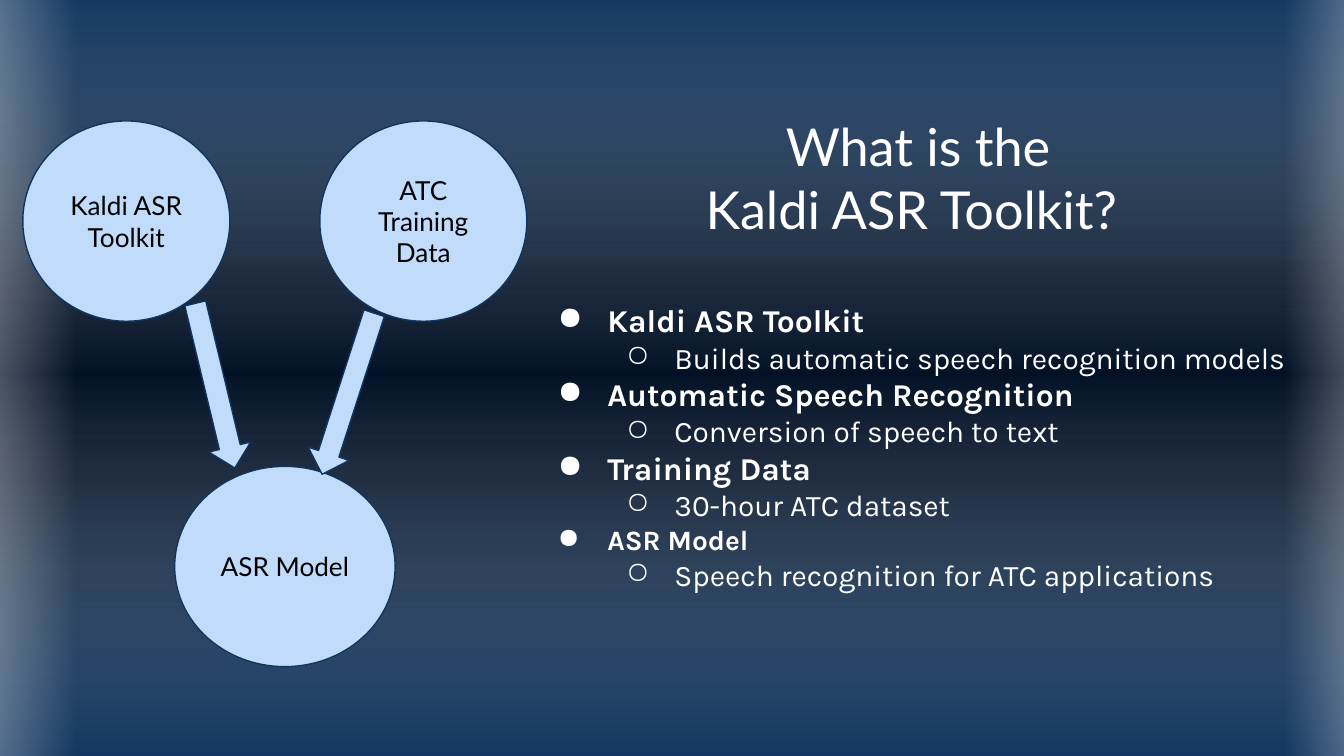
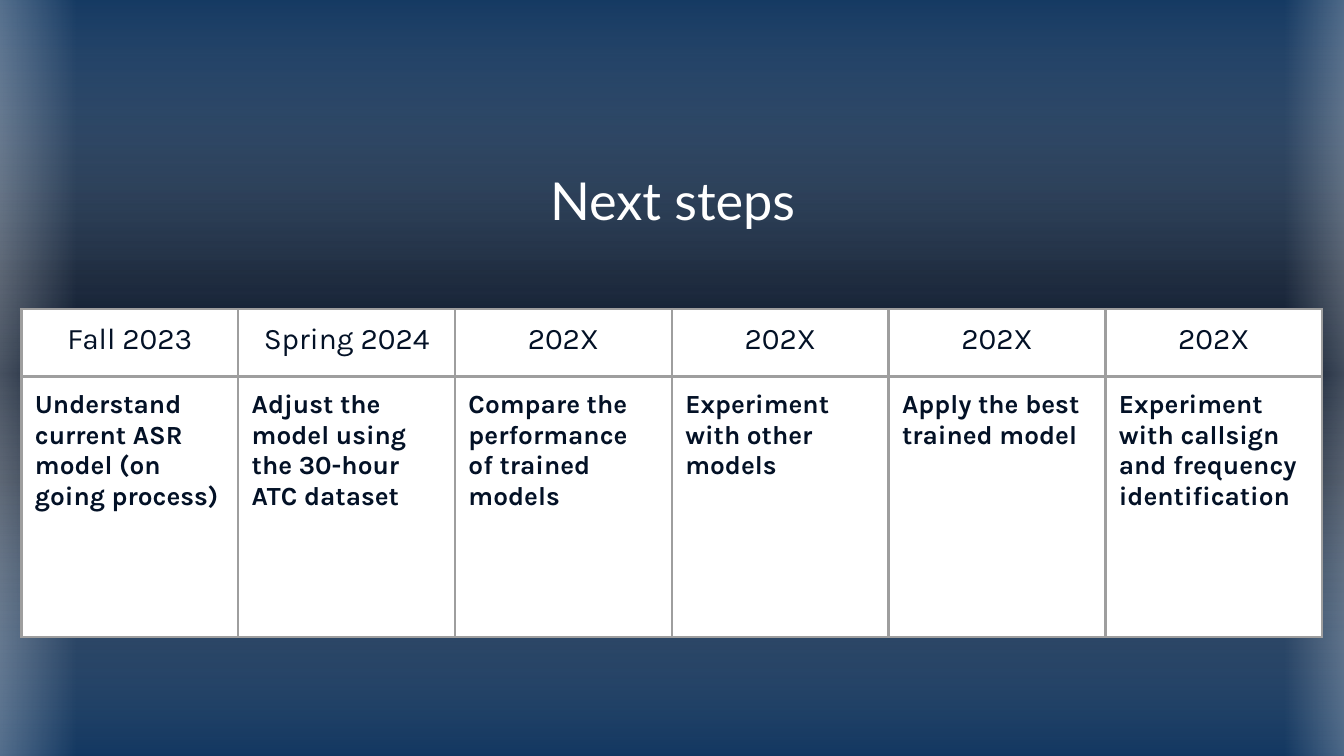
from lxml.etree import SubElement
from pptx import Presentation
from pptx.dml.color import RGBColor
from pptx.enum.shapes import MSO_SHAPE
from pptx.enum.text import MSO_ANCHOR, PP_ALIGN
from pptx.oxml import parse_xml
from pptx.oxml.ns import nsdecls, qn
from pptx.util import Inches, Pt

COLORS = {
    "navy": "10355F",
    "midnight": "031126",
    "white": "FFFFFF",
    "sky": "C1DBFA",
    "black": "000000",
    "grey": "9E9E9E",
}
TITLE_FONT, BODY_FONT = "Lato", "Karla"

PAGE_STOPS = [(0, "navy", 100), (37, "midnight", 100), (63, "midnight", 100), (100, "navy", 100)]
VEIL_STOPS = [(0, "navy", 59), (50, "white", 0), (100, "navy", 59)]
GLOW_STOPS = [(0, "white", 47), (100, "white", 0)]
BACKDROP = [
    ((2.2, -2.33, 5.81, 10.21), 270, VEIL_STOPS),
    ((-0.41, -0.09, 0.98, 5.8), 180, GLOW_STOPS),
    ((9.56, -0.13, 0.85, 5.8), 0, GLOW_STOPS),
]

TOPICS = [
    ("Kaldi ASR Toolkit", 17, "Builds automatic speech recognition models"),
    ("Automatic Speech Recognition", 17, "Conversion of speech to text"),
    ("Training Data", 17, "30-hour ATC dataset"),
    ("ASR Model", 15, "Speech recognition for ATC applications"),
]
CIRCLES = [
    ("Kaldi ASR Toolkit", (0.17, 0.9, 1.54, 1.49)),
    ("ASR Model", (1.3, 3.47, 1.64, 1.49)),
    ("ATC Training Data", (2.38, 0.9, 1.54, 1.49)),
]
ARROWS = [((0.97, 2.71, 1.26, 0.32), 76.5), ((1.96, 2.77, 1.26, 0.32), 107.9)]
STEPS = [
    ("Fall 2023", "Understand current ASR model (on going process)"),
    ("Spring 2024", "Adjust the model using the 30-hour ATC dataset"),
    ("202X", "Compare the performance of trained models"),
    ("202X", "Experiment with other models"),
    ("202X", "Apply the best trained model"),
    ("202X", "Experiment with callsign and frequency identification"),
]


def rgb(name):
    """Return the named colour."""
    return RGBColor.from_string(COLORS[name])


def inches(frame):
    """Turn left, top, width and height into lengths."""
    return [Inches(value) for value in frame]


def paint_gradient(item, fill, stops, angle):
    """Give a page or shape a linear gradient of (position, colour, opacity) stops."""
    fill.solid()
    solid = item._element.xpath(".//a:solidFill")[0]
    marks = "".join(
        f'<a:gs pos="{position * 1000}"><a:srgbClr val="{COLORS[color]}">'
        f'<a:alpha val="{opacity * 1000}"/></a:srgbClr></a:gs>'
        for position, color, opacity in stops
    )
    gradient = parse_xml(
        f'<a:gradFill {nsdecls("a")} rotWithShape="1"><a:gsLst>{marks}</a:gsLst>'
        f'<a:lin ang="{angle * 60000}" scaled="0"/></a:gradFill>'
    )
    solid.getparent().replace(solid, gradient)


def add_page(deck):
    """Add a blank page with the shared backdrop."""
    page = deck.slides.add_slide(deck.slide_layouts[6])
    paint_gradient(page, page.background.fill, PAGE_STOPS, 90)
    for frame, rotation, stops in BACKDROP:
        band = page.shapes.add_shape(MSO_SHAPE.RECTANGLE, *inches(frame))
        band.rotation = rotation
        band.shadow.inherit = False
        paint_gradient(band, band.fill, stops, 180)
        band.line.fill.background()
    return page


def add_span(para, text, font, size, color, bold=False):
    """Add one styled run to a paragraph."""
    span = para.add_run()
    span.text = text
    span.font.name = font
    span.font.size = Pt(size)
    span.font.bold = bold
    span.font.color.rgb = rgb(color)


def set_margins(holder):
    """Set the shared inner margin of a text frame or table cell."""
    holder.margin_left = holder.margin_right = Inches(0.1)
    holder.margin_top = holder.margin_bottom = Inches(0.1)


def add_box(page, frame, anchor):
    """Add a wrapping text box and return its text frame."""
    text_frame = page.shapes.add_textbox(*inches(frame)).text_frame
    text_frame.word_wrap = True
    text_frame.vertical_anchor = anchor
    set_margins(text_frame)
    return text_frame


def next_para(text_frame, index):
    """Return the first paragraph, or a new one after it."""
    return text_frame.add_paragraph() if index else text_frame.paragraphs[0]


def add_title(page, lines, frame):
    """Add a centred title with one paragraph per line."""
    text_frame = add_box(page, frame, MSO_ANCHOR.MIDDLE)
    for index, line in enumerate(lines):
        para = next_para(text_frame, index)
        para.alignment = PP_ALIGN.CENTER
        add_span(para, line, TITLE_FONT, 28, "white")


def set_bullet(para, level, mark, left, hang):
    """Give a paragraph a level, a hanging indent and a white bullet."""
    para.level = level
    props = para._p.get_or_add_pPr()
    props.set("marL", str(Inches(left)))
    props.set("indent", str(-Inches(hang)))
    color = SubElement(props, qn("a:buClr"))
    SubElement(color, qn("a:srgbClr"), val=COLORS["white"])
    SubElement(props, qn("a:buChar"), char=mark)


def add_topics(page, topics, frame):
    """Add a two-level list of bold topics and their explanations."""
    text_frame = add_box(page, frame, MSO_ANCHOR.TOP)
    for index, (topic, size, detail) in enumerate(topics):
        para = next_para(text_frame, index)
        set_bullet(para, 0, "●", 0.5, 0.37)
        add_span(para, topic, BODY_FONT, size, "white", True)
        para = text_frame.add_paragraph()
        set_bullet(para, 1, "○", 1, 0.36)
        add_span(para, detail, BODY_FONT, 16, "white")


def add_figure(group, kind, frame):
    """Add a sky blue diagram shape with a navy outline."""
    figure = group.shapes.add_shape(kind, *inches(frame))
    figure.shadow.inherit = False
    figure.fill.solid()
    figure.fill.fore_color.rgb = rgb("sky")
    figure.line.color.rgb = rgb("navy")
    figure.line.width = Pt(0.75)
    return figure


def add_diagram(page):
    """Add the circles and the arrows that lead to the model."""
    group = page.shapes.add_group_shape()
    for label, frame in CIRCLES:
        text_frame = add_figure(group, MSO_SHAPE.OVAL, frame).text_frame
        text_frame.word_wrap = True
        text_frame.vertical_anchor = MSO_ANCHOR.MIDDLE
        set_margins(text_frame)
        para = text_frame.paragraphs[0]
        para.alignment = PP_ALIGN.CENTER
        add_span(para, label, TITLE_FONT, 14, "black")
    for frame, rotation in ARROWS:
        add_figure(group, MSO_SHAPE.RIGHT_ARROW, frame).rotation = rotation


def style_cell(cell):
    """Give a cell its margins, grey borders and white fill."""
    set_margins(cell)
    props = cell._tc.get_or_add_tcPr()
    for side in ("lnL", "lnR", "lnT", "lnB"):
        border = SubElement(props, qn(f"a:{side}"), w=str(Pt(1.5)))
        paint = SubElement(border, qn("a:solidFill"))
        SubElement(paint, qn("a:srgbClr"), val=COLORS["grey"])
    cell.fill.solid()
    cell.fill.fore_color.rgb = rgb("white")


def add_schedule(page, steps, left, top, width, row_heights):
    """Add a table with one equal column per step: date above task."""
    frame = (left, top, width, sum(row_heights))
    table = page.shapes.add_table(2, len(steps), *inches(frame)).table
    table.first_row = table.horz_banding = False
    for row, height in zip(table.rows, row_heights):
        row.height = Inches(height)
    for index, (date, task) in enumerate(steps):
        table.columns[index].width = Inches(width / len(steps))
        head, body = table.cell(0, index), table.cell(1, index)
        style_cell(head)
        style_cell(body)
        para = head.text_frame.paragraphs[0]
        para.alignment = PP_ALIGN.CENTER
        add_span(para, date, BODY_FONT, 16, "midnight")
        add_span(body.text_frame.paragraphs[0], task, BODY_FONT, 14, "midnight", True)


def main():
    """Build and save the deck."""
    deck = Presentation()
    deck.slide_width = Inches(10)
    deck.slide_height = Inches(10 * 9 / 16)

    page = add_page(deck)
    add_title(page, ["What is the", "Kaldi ASR Toolkit? "], (3.92, 0.72, 5.82, 1.19))
    add_topics(page, TOPICS, (3.92, 2.14, 5.82, 3.01))
    add_diagram(page)

    page = add_page(deck)
    add_title(page, ["Next steps"], (0.79, 1.17, 8.43, 0.63))
    add_schedule(page, STEPS, 0.16, 2.3, 9.68, (0.5, 1.94))

    deck.save("out.pptx")


if __name__ == "__main__":
    main()
